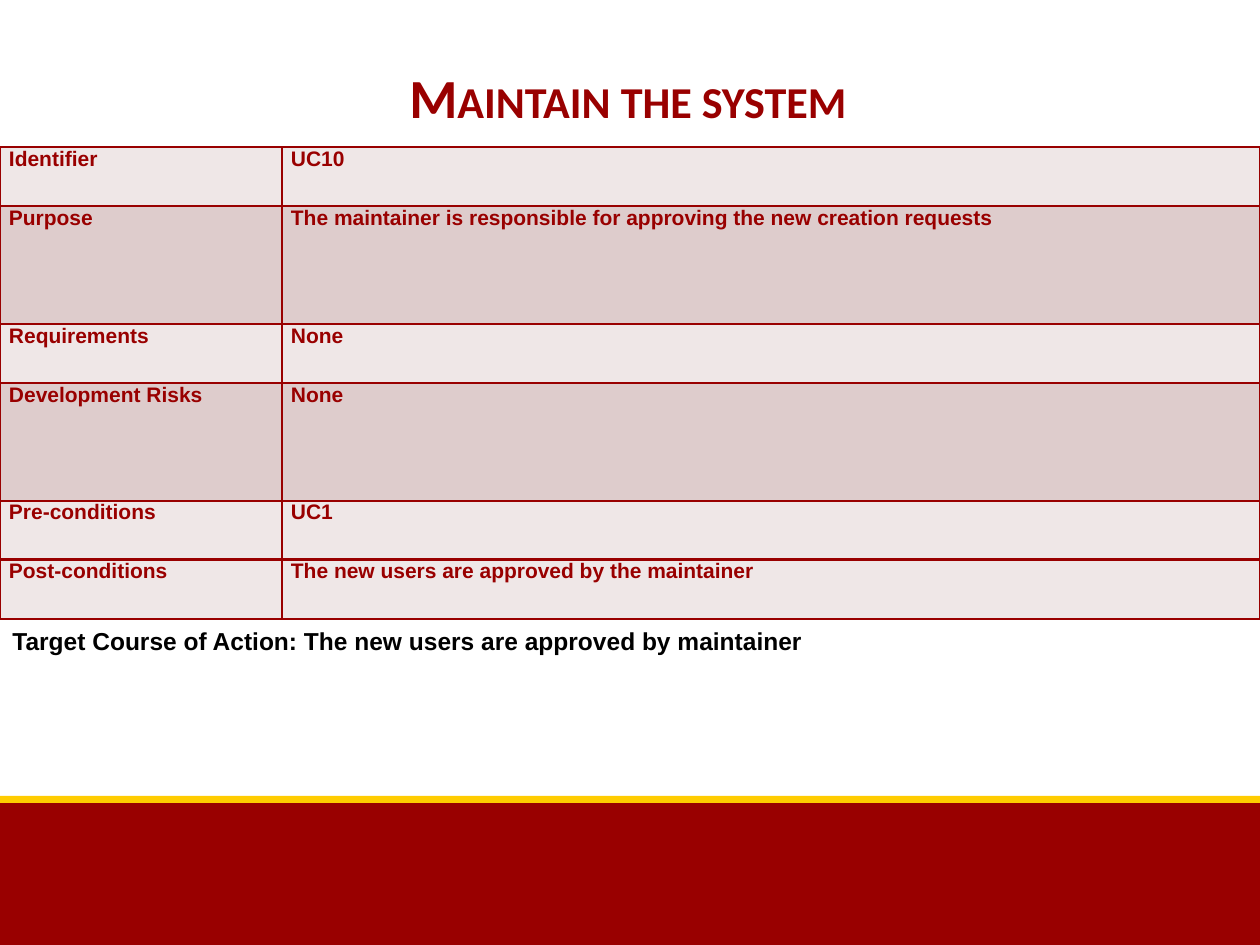
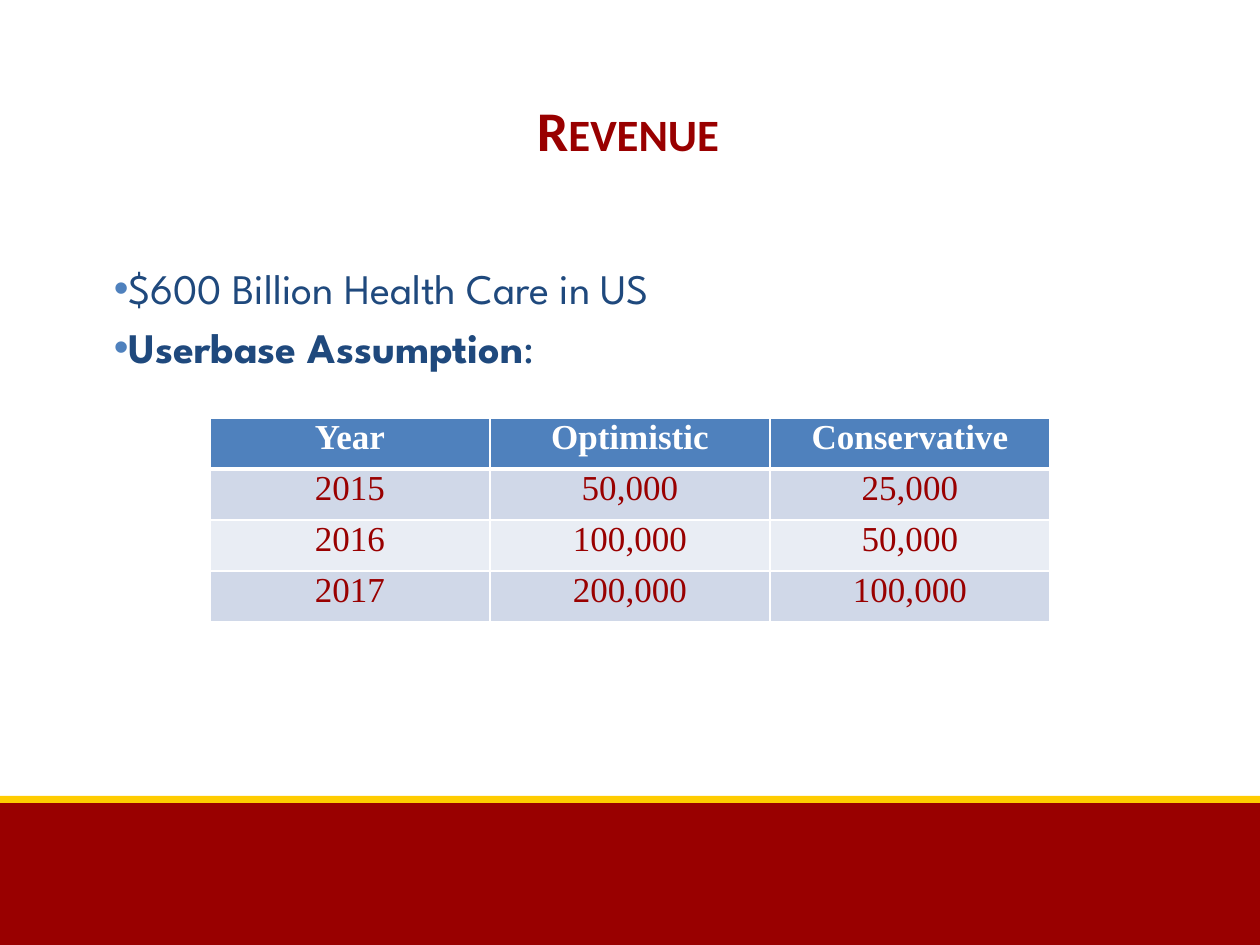
"""Build the use-case and revenue slides of the health care deck."""
from dataclasses import dataclass

from lxml.etree import SubElement
from pptx import Presentation
from pptx.dml.color import RGBColor
from pptx.enum.shapes import MSO_SHAPE
from pptx.enum.text import MSO_ANCHOR, MSO_AUTO_SIZE, PP_ALIGN
from pptx.oxml.ns import qn
from pptx.util import Emu, Pt


@dataclass(frozen=True)
class Theme:
    red: str = "990000"
    gold: str = "FFCC00"
    white: str = "FFFFFF"
    black: str = "000000"
    navy: str = "1F497D"
    blue: str = "4F81BD"
    rose_light: str = "EFE7E7"
    rose_dark: str = "DECCCC"
    blue_light: str = "E9EDF4"
    blue_dark: str = "D0D8E8"
    title_font: str = "Calibri"
    case_font: str = "Arial"
    body_font: str = "League Spartan"
    figure_font: str = "Times New Roman"
    title_size: float = 32
    long_title_size: float = 31.5
    case_size: float = 12
    note_size: float = 14
    body_size: float = 24
    figure_size: float = 20


T = Theme()
USE_CASE = [
    ("Identifier", "UC10"),
    ("Purpose", "The maintainer is responsible for approving the new creation requests"),
    ("Requirements", "None"),
    ("Development Risks", "None"),
    ("Pre-conditions", "UC1"),
    ("Post-conditions", "The new users are approved by the maintainer"),
]
TALL_ROWS = ("Purpose", "Development Risks")
TARGET = "Target Course of Action: The new users are approved by maintainer"
POINTS = [
    [("$600 Billion Health Care in US", False)],
    [("Userbase Assumption", True), (":", False)],
]
USERBASE = [
    ("Year", "Optimistic", "Conservative"),
    ("2015", "50,000", "25,000"),
    ("2016", "100,000", "50,000"),
    ("2017", "200,000", "100,000"),
]
BANDS = [((0, 800, 1260, 145), T.red), ((0, 796, 1260, 7), T.gold)]


def px(n):
    return Emu(round(n * 914400 / 126))


def box(*lengths):
    return [px(n) for n in lengths]


def style(r, font, size, color, bold=False):
    r.font.name, r.font.size, r.font.bold = font, Pt(size), bold
    r.font.color.rgb = RGBColor.from_string(color)


def add_slide(prs, title, size, insets):
    s = prs.slides.add_slide(prs.slide_layouts[5])
    for place, color in BANDS:
        sp = s.shapes.add_shape(MSO_SHAPE.RECTANGLE, *box(*place))
        sp.shadow.inherit = False
        sp.fill.solid()
        sp.fill.fore_color.rgb = RGBColor.from_string(color)
        sp.line.fill.background()
    sp = s.shapes.title
    sp.left, sp.top, sp.width, sp.height = box(59, 57, 1138, 144)
    tf = sp.text_frame
    tf.text = title
    tf.auto_size, tf.vertical_anchor = MSO_AUTO_SIZE.NONE, MSO_ANCHOR.MIDDLE
    tf.margin_top, tf.margin_bottom = box(*insets)
    p = tf.paragraphs[0]
    p.alignment = PP_ALIGN.CENTER
    style(p.runs[0], T.title_font, size, T.red, True)
    p.runs[0].font._element.set("cap", "small")
    return s


def set_borders(cell, color, widths):
    tc_pr = cell._tc.get_or_add_tcPr()
    for side in "LRTB":
        ln = SubElement(tc_pr, qn(f"a:ln{side}"), w=str(Pt(widths.get(side, 1))))
        SubElement(SubElement(ln, qn("a:solidFill")), qn("a:srgbClr"), val=color)


def add_grid(s, rows, origin, widths, heights, border, cell_style):
    shape = s.shapes.add_table(len(rows), len(widths),
                               *box(*origin, sum(widths), sum(heights)))
    table = shape.table
    table.first_row = table.horz_banding = False
    for col, width in zip(table.columns, widths):
        col.width = px(width)
    for i, (texts, height) in enumerate(zip(rows, heights)):
        table.rows[i].height = px(height)
        fill, font, align, edges = cell_style(i, texts)
        for cell, text in zip(table.rows[i].cells, texts):
            cell.text = text
            cell.margin_left = cell.margin_right = px(9)
            cell.margin_top = cell.margin_bottom = 0
            set_borders(cell, border, edges)
            cell.fill.solid()
            cell.fill.fore_color.rgb = RGBColor.from_string(fill)
            p = cell.text_frame.paragraphs[0]
            p.alignment = align
            style(p.runs[0], *font)


def case_style(i, texts):
    fill = T.rose_dark if texts[0] in TALL_ROWS else T.rose_light
    edges = {"T": 2} if i == len(USE_CASE) - 1 else {}
    return fill, (T.case_font, T.case_size, T.red, True), PP_ALIGN.LEFT, edges


def userbase_style(i, texts):
    header = i == 0
    fill = T.blue if header else T.blue_dark if i % 2 else T.blue_light
    font = (T.figure_font, T.figure_size, T.white if header else T.red, header)
    return fill, font, PP_ALIGN.CENTER, {"B": 3} if header else {}


def add_bullet(p):
    p_pr = p._p.get_or_add_pPr()
    p_pr.set("marL", str(px(48)))
    p_pr.set("indent", str(px(-10)))
    SubElement(SubElement(p_pr, qn("a:buClr")), qn("a:srgbClr"), val=T.blue)
    SubElement(p_pr, qn("a:buFont"), typeface="Arial")
    SubElement(p_pr, qn("a:buChar"), char="•")


def build_use_case(prs):
    s = add_slide(prs, "Maintain the system", T.long_title_size, (0, 66))
    heights = [118 if name in TALL_ROWS else 59 for name, _ in USE_CASE]
    add_grid(s, USE_CASE, (0, 147), (282, 978), heights, T.red, case_style)
    tf = s.shapes.add_textbox(*box(0, 620, 1260, 50)).text_frame
    tf.word_wrap = True
    tf.text = TARGET
    style(tf.paragraphs[0].runs[0], T.case_font, T.note_size, T.black, True)


def build_revenue(prs):
    s = add_slide(prs, "Revenue", T.title_size, (13, 13))
    tf = s.shapes.add_textbox(*box(63, 242, 1134, 602)).text_frame
    tf.word_wrap = True
    tf.margin_left = tf.margin_right = tf.margin_bottom = px(13)
    tf.margin_top = px(21)
    for i, parts in enumerate(POINTS):
        p = tf.add_paragraph() if i else tf.paragraphs[0]
        add_bullet(p)
        if i:
            p.space_before = Pt(4.8)
        for text, bold in parts:
            r = p.add_run()
            r.text = text
            style(r, T.body_font, T.body_size, T.navy, bold)
    add_grid(s, USERBASE, (210, 418), [280] * 3, [51] * len(USERBASE),
             T.white, userbase_style)


def main():
    prs = Presentation()
    prs.slide_width, prs.slide_height = box(1260, 945)
    build_use_case(prs)
    build_revenue(prs)
    prs.save("out.pptx")


if __name__ == "__main__":
    main()
